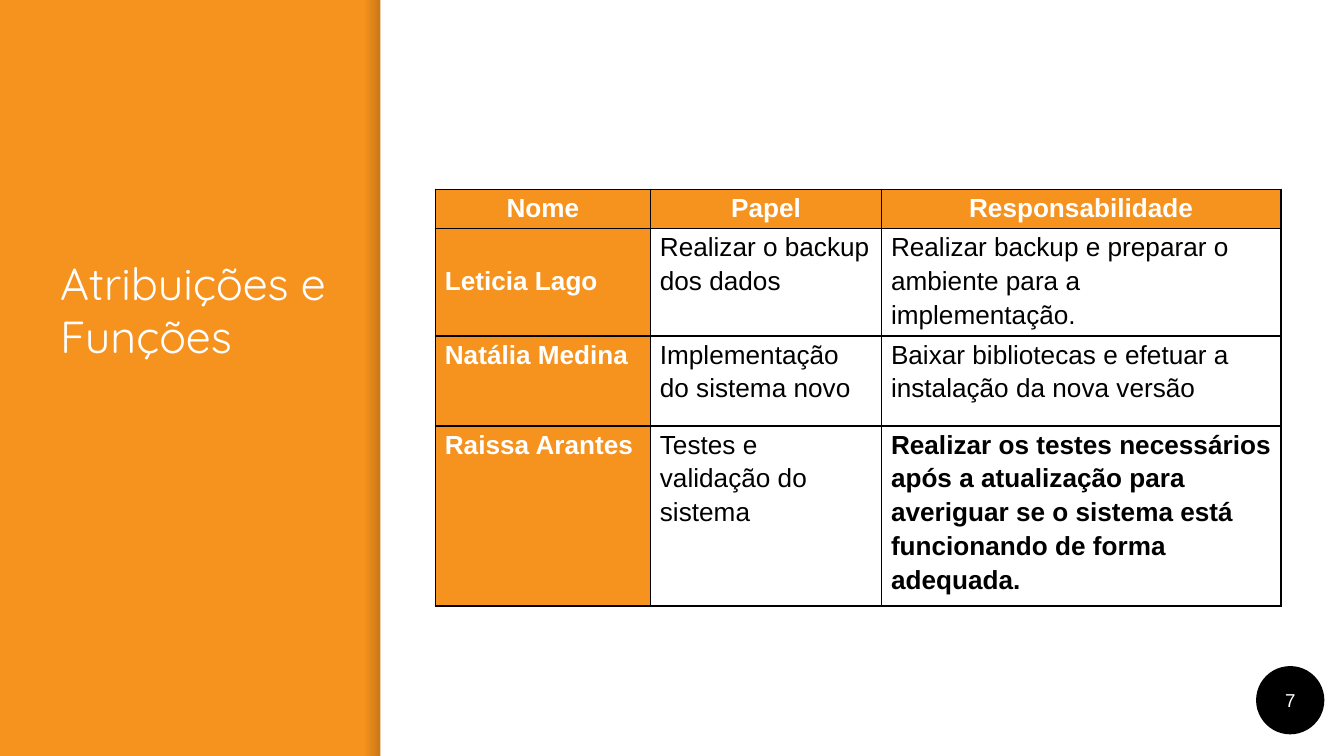
from lxml import etree
from pptx import Presentation
from pptx import util as u
from pptx.dml.color import RGBColor
from pptx.enum import shapes, text
from pptx.oxml import ns

ORANGE = RGBColor(0xF6, 0x92, 0x1E)
WHITE = RGBColor(0xFF, 0xFF, 0xFF)
BLACK = RGBColor(0, 0, 0)
W = 10
H = W * 9 / 16
SIDEBAR = 2.83
COLS = [1.6, 1.72, 2.97]
ROWS = [0.29, 0.8, 0.67, 1.34]
ROLES = [
    ["Nome", "Papel", "Responsabilidade"],
    ["Leticia Lago", "Realizar o backup dos dados",
     "Realizar backup e preparar o ambiente para a implementação."],
    ["Natália Medina", "Implementação do sistema novo",
     "Baixar bibliotecas e efetuar a instalação da nova versão"],
    ["Raissa Arantes", "Testes e validação do sistema",
     "Realizar os testes necessários após a atualização para averiguar "
     "se o sistema está funcionando de forma adequada."],
]


def write(tf, content, font="Arial", size=14, color=BLACK, bold=False,
          align=text.PP_ALIGN.LEFT, spacing=None):
    tf.word_wrap = True
    p = tf.paragraphs[0]
    p.alignment = align
    if spacing:
        p.line_spacing = spacing
    r = p.add_run()
    r.text = content
    r.font.name, r.font.size, r.font.bold = font, u.Pt(size), bold
    r.font.color.rgb = color


def add_shape(slide, kind, box, fill=None):
    sp = slide.shapes.add_shape(kind, *map(u.Inches, box))
    sp.shadow.inherit = False
    sp.line.fill.background()
    if fill is not None:
        sp.fill.solid()
        sp.fill.fore_color.rgb = fill
    return sp


def add_panel(slide, box):
    x, y, w, h = box
    shade = 0.12
    sp = add_shape(slide, shapes.MSO_SHAPE.RECTANGLE, (x - shade, y, shade, h))
    sp.fill.gradient()
    sp.fill.gradient_angle = 0
    for stop in sp.fill.gradient_stops:
        stop.color.rgb = BLACK
    for color, alpha in zip(sp.fill._xPr.iter(ns.qn("a:srgbClr")), (0, 20000)):
        etree.SubElement(color, ns.qn("a:alpha")).set("val", str(alpha))
    add_shape(slide, shapes.MSO_SHAPE.RECTANGLE, box, WHITE)


def add_title(slide, box, content):
    tf = slide.shapes.add_textbox(*map(u.Inches, box)).text_frame
    tf.margin_left = tf.margin_right = u.Inches(0.1)
    tf.margin_top = tf.margin_bottom = u.Inches(0.1)
    write(tf, content, font="Quicksand", size=24, color=WHITE)


def add_borders(cell):
    tc_pr = cell._tc.get_or_add_tcPr()
    for i, side in enumerate(("lnL", "lnR", "lnT", "lnB")):
        ln = etree.Element(ns.qn(f"a:{side}"), w=str(u.Pt(1)))
        fill = etree.SubElement(ln, ns.qn("a:solidFill"))
        etree.SubElement(fill, ns.qn("a:srgbClr"), val=str(BLACK))
        tc_pr.insert(i, ln)


def add_roles_table(slide, x, y):
    box = x, y, sum(COLS), sum(ROWS)
    table = slide.shapes.add_table(len(ROWS), len(COLS), *map(u.Inches, box)).table
    for column, width in zip(table.columns, COLS):
        column.width = u.Inches(width)
    for row, height in zip(table.rows, ROWS):
        row.height = u.Inches(height)
    for i, row in enumerate(ROLES):
        for j, content in enumerate(row):
            cell = table.cell(i, j)
            heading = i == 0 or j == 0
            cell.margin_left = cell.margin_right = u.Inches(0.07)
            cell.margin_top = cell.margin_bottom = 0
            cell.fill.solid()
            cell.fill.fore_color.rgb = ORANGE if heading else WHITE
            add_borders(cell)
            write(cell.text_frame, content, spacing=1.15,
                  color=WHITE if heading else BLACK,
                  bold=heading or (i, j) == (3, 2),
                  align=text.PP_ALIGN.CENTER if i == 0 else text.PP_ALIGN.LEFT)
    first_name = table.cell(1, 0)
    first_name.vertical_anchor = text.MSO_ANCHOR.MIDDLE
    first_name.margin_bottom = u.Inches(0.04)


def add_page_number(slide, box, number):
    sp = add_shape(slide, shapes.MSO_SHAPE.FLOWCHART_CONNECTOR, box, BLACK)
    sp.line.color.rgb = BLACK
    sp.line.width = u.Pt(2)
    sp.text_frame.vertical_anchor = text.MSO_ANCHOR.MIDDLE
    write(sp.text_frame, number, size=10, color=WHITE, align=text.PP_ALIGN.CENTER)


prs = Presentation()
prs.slide_width, prs.slide_height = u.Inches(W), u.Inches(H)
slide = prs.slides.add_slide(prs.slide_layouts[6])
slide.background.fill.solid()
slide.background.fill.fore_color.rgb = ORANGE
add_panel(slide, (SIDEBAR, 0, W - SIDEBAR, H))
add_roles_table(slide, 3.24, 1.41)
add_title(slide, (0.35, 1.8, 2.24, 2.02), "Atribuições e Funções")
add_page_number(slide, (9.36, 4.97, 0.48, 0.48), "7")
prs.save("out.pptx")
